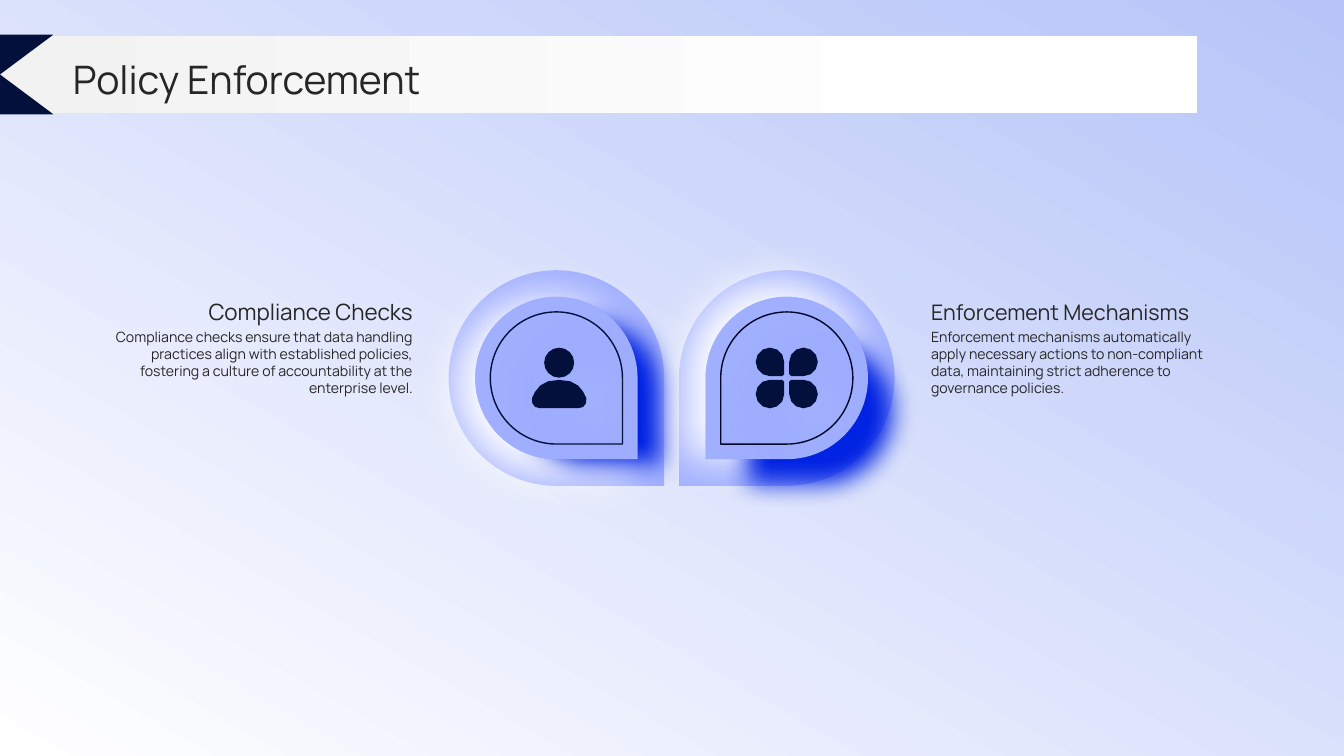
import math
import pptx
import pptx.util
import pptx.dml.color
import pptx.enum.shapes
import pptx.enum.text
import pptx.oxml
import pptx.oxml.ns

Pt = pptx.util.Pt
Kind = pptx.enum.shapes.MSO_SHAPE
Align = pptx.enum.text.PP_ALIGN
Anchor = pptx.enum.text.MSO_ANCHOR

HUES = {"sky": "B6C4F8", "pale": "AABDFB", "white": "FFFFFF", "grey": "F2F2F2",
        "drop": "A1AFFF", "navy": "03103B", "ink": "000627", "text": "262626",
        "blue": "0023E3", "mid": "234EEB"}
FONT = "Manrope"
WIDE, HIGH = 960, 540
TITLE = "Policy Enforcement"
ITEMS = [
    {"head": "Compliance Checks", "size": 16, "left": 82.4, "align": Align.RIGHT,
     "body": "Compliance checks ensure that data handling practices align with "
             "established policies, fostering a culture of accountability at the "
             "enterprise level.",
     "mid": 397.4, "turn": 90, "line": "navy", "icon": "person"},
    {"head": "Enforcement Mechanisms", "size": 15.3, "left": 665, "align": Align.LEFT,
     "body": "Enforcement mechanisms automatically apply necessary actions to "
             "non-compliant data, maintaining strict adherence to governance policies.",
     "mid": 562, "turn": 180, "line": "ink", "icon": "petals"},
]
ROW = 270
DROPS = [
    (154, True, None),
    (116, True, ("white", 32, 3, 180, 110)),
    (116, True, ("blue", 18, 24, 45, 88)),
    (94.4, False, ("mid", 34, 24, 45, 88)),
]


def rgb(name):
    return pptx.dml.color.RGBColor.from_string(HUES[name])


def blend(fill, first, last, angle, end=1.0):
    fill.gradient()
    fill.gradient_angle = angle
    for stop, name, place in zip(fill.gradient_stops, (first, last), (0, end)):
        stop.color.rgb = rgb(name)
        stop.position = place


def paint(shape, name):
    shape.shadow.inherit = False
    shape.line.fill.background()
    if name:
        shape.fill.solid()
        shape.fill.fore_color.rgb = rgb(name)
    else:
        shape.fill.background()


def add(kind, x, y, w, h, name=None):
    shape = slide.shapes.add_shape(kind, Pt(x), Pt(y), Pt(w), Pt(h))
    paint(shape, name)
    return shape


def shade(shape, name, blur, dist, angle, scale):
    glow = pptx.oxml.parse_xml(
        f'<a:outerShdw {pptx.oxml.ns.nsdecls("a")} blurRad="{Pt(blur)}" '
        f'dist="{Pt(dist)}" dir="{angle * 60000}" sx="{scale * 1000}" '
        f'sy="{scale * 1000}" algn="tl" rotWithShape="0">'
        f'<a:srgbClr val="{HUES[name]}"/></a:outerShdw>')
    shape.element.spPr.find(pptx.oxml.ns.qn("a:effectLst")).append(glow)


def write(text, x, y, w, h, size, align=Align.LEFT, anchor=Anchor.TOP):
    frame = slide.shapes.add_textbox(Pt(x), Pt(y), Pt(w), Pt(h)).text_frame
    frame.word_wrap = True
    frame.vertical_anchor = anchor
    frame.margin_left = frame.margin_right = frame.margin_top = frame.margin_bottom = 0
    frame.text = text
    para = frame.paragraphs[0]
    para.alignment = align
    font = para.runs[0].font
    font.name, font.size = FONT, Pt(size)
    font.color.rgb = rgb("text")


def trace(loops):
    loops = [[(Pt(x), Pt(y)) for x, y in loop] for loop in loops]
    pen = slide.shapes.build_freeform(*loops[0][0], scale=1.0)
    for spot, loop in enumerate(loops):
        if spot:
            pen.move_to(*loop[0])
        pen.add_line_segments(loop[1:], close=True)
    paint(pen.convert_to_shape(), "navy")


def arc(x, y, rad, start, sweep, steps):
    turns = [math.radians(start + sweep * i / steps) for i in range(steps + 1)]
    return [(x + rad * math.cos(t), y + rad * math.sin(t)) for t in turns]


def person(x):
    x += 2
    half = [(0, 0), (7.9, 1), (13.5, 4), (17.2, 8.5), (19.4, 13),
            (19.2, 16.6), (17.2, 19.3), (13.7, 20.2)]
    whole = half + [(-p, q) for p, q in half[:0:-1]]
    return [[(x + p, ROW + 1.4 + q) for p, q in whole],
            arc(x, ROW - 10.9, 10.7, 0, 337.5, 15)]


def petals(x):
    rad, nick, gap = 10.2, 1.4, 12
    loops = []
    for dx, dy, start in ((1, 1, 270), (-1, 1, 0), (-1, -1, 90), (1, -1, 180)):
        px, py = x + dx * gap, ROW + dy * (gap - 0.5)
        inset = rad - nick
        loops.append(arc(px, py, rad, start, 270, 9)
                     + arc(px - dx * inset, py - dy * inset, nick, start - 90, 90, 1))
    return loops


ICONS = {"person": person, "petals": petals}

deck = pptx.Presentation()
deck.slide_width, deck.slide_height = Pt(WIDE), Pt(HIGH)
slide = deck.slides.add_slide(deck.slide_layouts[6])
blend(slide.background.fill, "pale", "white", 300)
blend(add(Kind.RECTANGLE, 0, 0, WIDE, HIGH).fill, "sky", "white", 240)

for item in ITEMS:
    for size, full, glow in DROPS:
        drop = add(Kind.TEAR, item["mid"] - size / 2, ROW - size / 2, size, size,
                   "drop" if full else None)
        drop.rotation = item["turn"]
        if not full:
            drop.line.color.rgb = rgb(item["line"])
            drop.line.width = Pt(1)
        if glow:
            shade(drop, *glow)
    trace(ICONS[item["icon"]](item["mid"]))
    write(item["body"], item["left"], 234.7, 212.4, 110.9, 10.1, item["align"])
    write(item["head"], item["left"], 209.5, 212.4, 22.3, item["size"], item["align"],
          Anchor.BOTTOM)

banner = add(Kind.RECTANGLE, 0, 25.5, 855, 55.4)
blend(banner.fill, "grey", "white", 0, 0.8)
add(Kind.FLOWCHART_COLLATE, -38.2, 24.7, 76.4, 57, "navy")
write(TITLE, 52, 38.2, 855, 36.7, 28, anchor=Anchor.MIDDLE)

deck.save("out.pptx")
